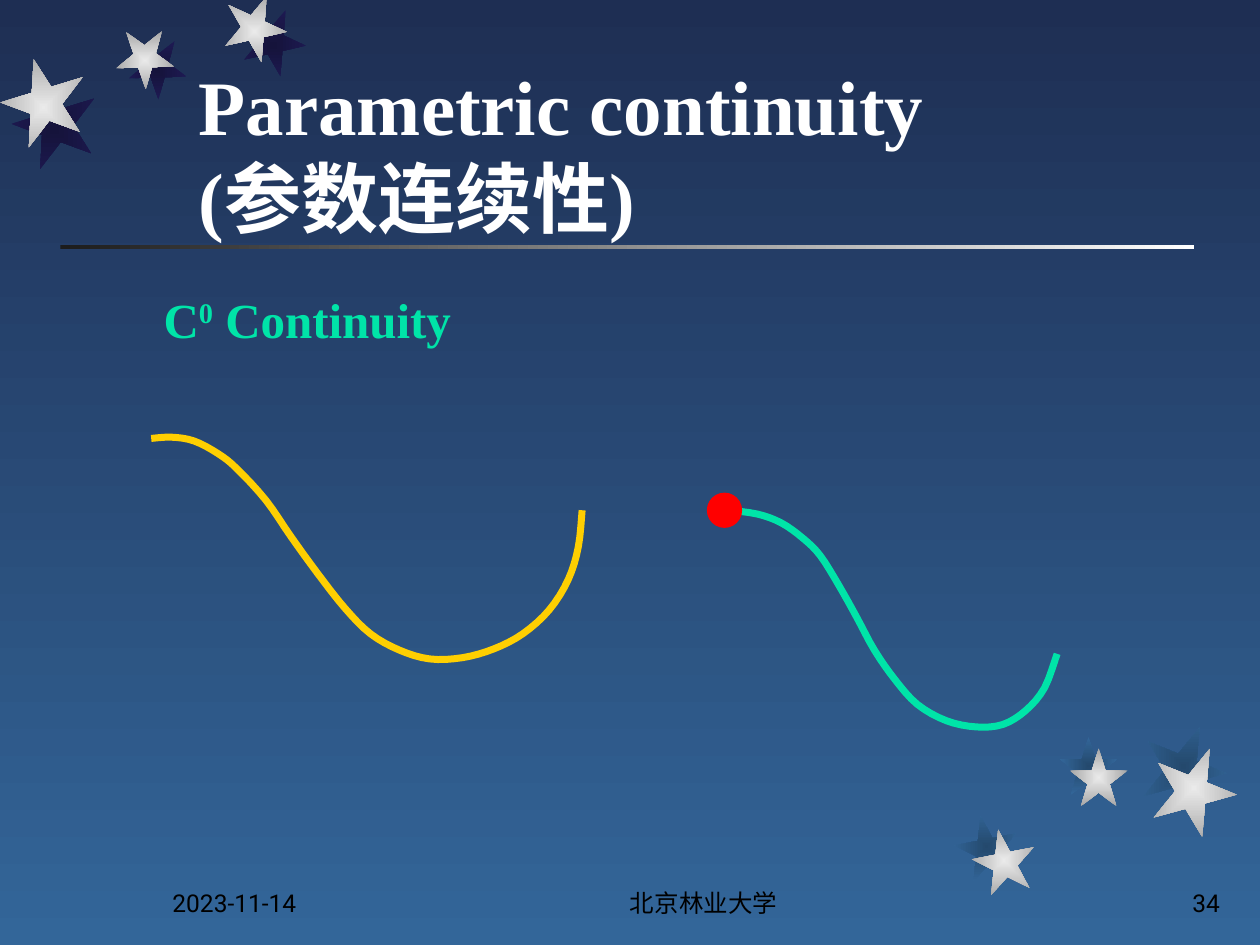
from lxml.etree import SubElement
from pptx import Presentation
from pptx.dml.color import RGBColor
from pptx.enum.shapes import MSO_SHAPE
from pptx.enum.text import MSO_ANCHOR, PP_ALIGN
from pptx.oxml.ns import qn
from pptx.util import Inches, Pt

NIGHT = RGBColor(0x1E, 0x2E, 0x53)
BLUE = RGBColor(0x33, 0x66, 0x99)
COAL = RGBColor(0x1C, 0x1C, 0x1C)
WHITE = RGBColor(0xFF, 0xFF, 0xFF)
BLACK = RGBColor(0x00, 0x00, 0x00)
GOLD = RGBColor(0xFF, 0xCF, 0x01)
MINT = RGBColor(0x00, 0xE4, 0xA8)
RED = RGBColor(0xFF, 0x00, 0x00)
SILVER = (RGBColor(0xEA, 0xEA, 0xEA), RGBColor(0xA7, 0xA7, 0xA7))
DUSK = (RGBColor(0x15, 0x13, 0x3B), RGBColor(0x1E, 0x1A, 0x53))
HAZE = (RGBColor(0x24, 0x49, 0x6D), BLUE)

SERIF, SANS = "Times New Roman", "Roboto"
COLS, ROWS = 100, 75

# Star size, turn, shade corner, front corner
TOP = [
    (5, 167.3, (19.2, 1.1), (17.7, 0)),
    (4.6, 178.3, (10.2, 3.3), (9.2, 2.5)),
    (6.7, 200.3, (1, 6.9), (0.1, 5.2)),
]
BASE = [
    (5, 349, (75.8, 64.7), (77.2, 65.8)),
    (4.6, 0, (84.1, 58.5), (84.9, 59.4)),
    (6.7, 22, (90.6, 57.5), (91.4, 59.2)),
]

# Knots that each curve runs through
LEFT = [(12, 34.8), (13.6, 34.7), (15.4, 35), (17.3, 36), (18.8, 37.2),
        (21.1, 39.7), (23.1, 42.6), (25.2, 45.5), (27.4, 48.3), (29.4, 50.3),
        (31.7, 51.6), (34.1, 52.3), (36.7, 52.2), (39.2, 51.5), (41.5, 50.3),
        (43.6, 48.4), (45.1, 46), (45.9, 43.4), (46.2, 40.5)]
RIGHT = [(57.8, 40.5), (60.1, 40.8), (62, 41.5), (63.7, 42.7), (65.1, 44.1),
         (66.6, 46.5), (68, 49), (69.4, 51.6), (71, 53.9), (72.8, 55.9),
         (75.1, 57.2), (77.5, 57.7), (79.6, 57.5), (81.4, 56.4),
         (82.9, 54.6), (83.9, 51.9)]


def cell(count):
    """Turn grid cells into a length."""
    return Inches(count / 10)


def blend(fill, tones, angle=0):
    fill.gradient()
    fill.gradient_angle = angle
    for stop, tone in zip(fill.gradient_stops, tones):
        stop.color.rgb = tone


def add_form(slide, kind, box):
    form = slide.shapes.add_shape(kind, *map(cell, box))
    form.shadow.inherit = False
    form.line.fill.background()
    return form


def add_star(slide, size, turn, spot, tones):
    star = add_form(slide, MSO_SHAPE.STAR_5_POINT, (*spot, size, size))
    star.rotation = turn
    blend(star.fill, tones)
    # Let the blend spread from the centre
    grad = star._element.spPr.find(qn("a:gradFill"))
    grad.remove(grad.find(qn("a:lin")))
    burst = SubElement(grad, qn("a:path"), path="shape")
    SubElement(burst, qn("a:fillToRect"),
               {side: "50000" for side in "ltrb"})


def add_stars(slide, group, shade):
    for size, turn, spot, _ in group:
        add_star(slide, size, turn, spot, shade)
    for size, turn, _, spot in group:
        add_star(slide, size, turn, spot, SILVER)


def trace(knots, steps=4):
    """Run a Catmull-Rom curve through the knots."""
    ends = [knots[0], *knots, knots[-1]]
    points = [knots[0]]
    for a, b, c, d in zip(ends, ends[1:], ends[2:], ends[3:]):
        for step in range(1, steps + 1):
            t = step / steps
            points.append(tuple(
                q + t / 2 * (r - p + t * (2 * p - 5 * q + 4 * r - s
                                          + t * (3 * (q - r) + s - p)))
                for p, q, r, s in zip(a, b, c, d)))
    return points


def add_curve(slide, knots, tone):
    points = [(cell(x), cell(y)) for x, y in trace(knots)]
    maker = slide.shapes.build_freeform(*points[0])
    maker.add_line_segments(points[1:], close=False)
    curve = maker.convert_to_shape()
    curve.shadow.inherit = False
    curve.fill.background()
    curve.line.color.rgb = tone
    curve.line.width = Pt(4)


def add_box(slide, box, anchor=MSO_ANCHOR.BOTTOM, align=PP_ALIGN.LEFT):
    frame = slide.shapes.add_textbox(*map(cell, box)).text_frame
    frame.word_wrap = True
    frame.vertical_anchor = anchor
    para = frame.paragraphs[0]
    para.alignment = align
    return para


def add_run(para, text, size, tone, face=SERIF, bold=True):
    run = para.add_run()
    run.text = text
    font = run.font
    font.size, font.name, font.bold = Pt(size), face, bold
    font.color.rgb = tone
    return run


def main():
    deck = Presentation()
    deck.slide_width, deck.slide_height = cell(COLS), cell(ROWS)
    slide = deck.slides.add_slide(deck.slide_layouts[6])

    # Backdrop, rule and stars
    blend(slide.background.fill, (NIGHT, BLUE), 270)
    rule = add_form(slide, MSO_SHAPE.RECTANGLE, (4.8, 19.45, 90, 0.35))
    blend(rule.fill, (COAL, WHITE))
    add_stars(slide, TOP, DUSK)
    add_stars(slide, BASE, HAZE)

    # Footer
    for left, width, align, text in (
            (12.7, 20.8, PP_ALIGN.LEFT, "2023-11-14"),
            (40, 31.7, PP_ALIGN.CENTER, "北京林业大学"),
            (77, 20.8, PP_ALIGN.RIGHT, "34")):
        para = add_box(slide, (left, 68.3, width, 5), align=align)
        add_run(para, text, 14, BLACK, SANS, False)

    # Title
    title = add_box(slide, (14.8, 3.8, 75, 16))
    add_run(title, "Parametric continuity", 44, WHITE)
    title.add_line_break()
    add_run(title, "(参数连续性)", 44, WHITE)

    # Two curves and the joint
    add_curve(slide, LEFT, GOLD)
    add_curve(slide, RIGHT, MINT)
    dot = add_form(slide, MSO_SHAPE.OVAL, (56.1, 39.1, 2.8, 2.8))
    dot.fill.solid()
    dot.fill.fore_color.rgb = RED

    # Heading
    head = add_box(slide, (12, 23, 42.6, 7.3), MSO_ANCHOR.TOP)
    head.line_spacing = 0.9
    add_run(head, "C", 28, MINT)
    power = add_run(head, "0", 28, MINT)
    power.font._element.set("baseline", "30000")
    add_run(head, " Continuity", 28, MINT)

    deck.save("out.pptx")


if __name__ == "__main__":
    main()
